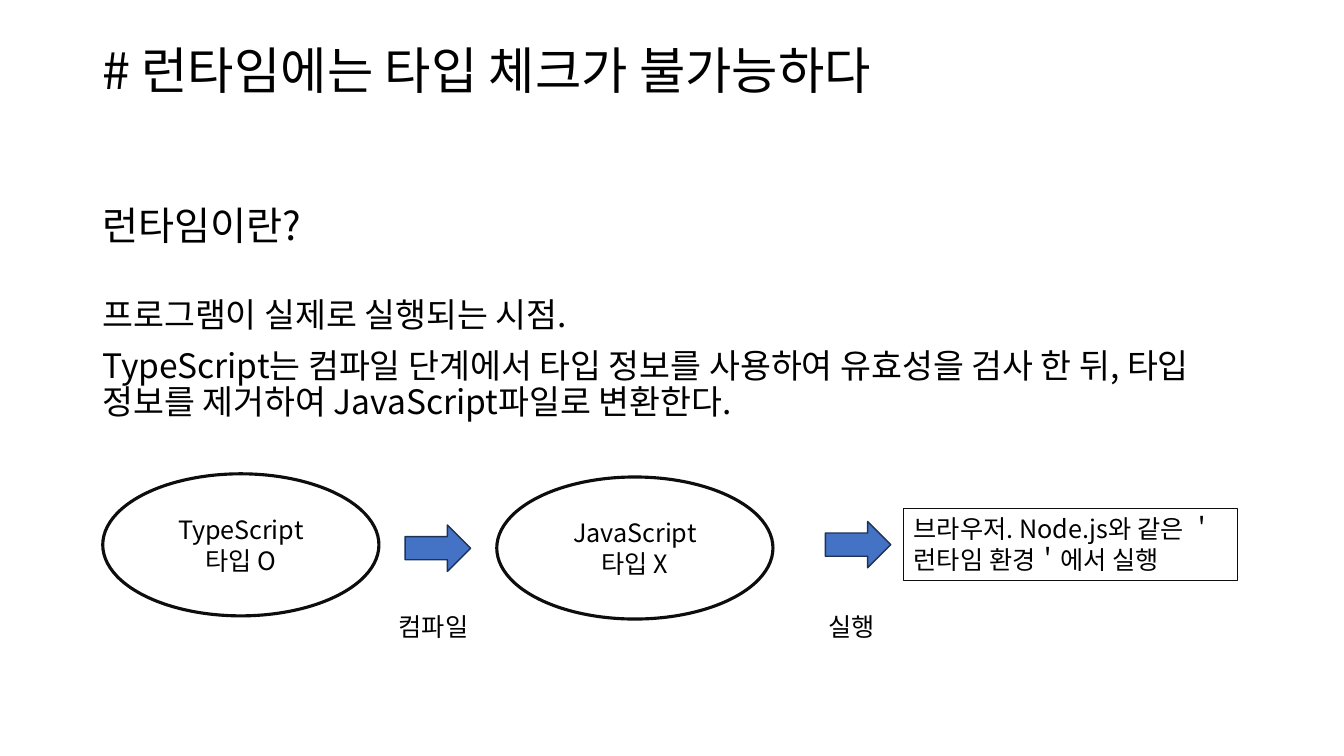
from dataclasses import dataclass

from lxml import etree
from pptx import Presentation
from pptx import util as u
from pptx.dml.color import RGBColor
from pptx.enum import shapes, text
from pptx.oxml import ns

FONT = "Noto Sans CJK KR"
BLACK = RGBColor(0x00, 0x00, 0x00)
WHITE = RGBColor(0xFF, 0xFF, 0xFF)
OUTLINE = RGBColor(0x0D, 0x0D, 0x0D)
ARROW_FILL = RGBColor(0x44, 0x72, 0xC4)
ARROW_LINE = RGBColor(0x1E, 0x32, 0x56)


@dataclass(frozen=True)
class Line:
    words: str
    size: float = 18
    before: float = 0
    spacing: float = 1.0


@dataclass(frozen=True)
class Box:
    left: float
    top: float
    width: float
    height: float

    def lengths(self) -> tuple[u.Length, ...]:
        return tuple(u.Cm(n) for n in (self.left, self.top, self.width, self.height))


@dataclass(frozen=True)
class Figure:
    kind: shapes.MSO_SHAPE
    box: Box
    fill: RGBColor | None
    line: RGBColor
    line_width: float
    words: str = ""
    align: text.PP_ALIGN = text.PP_ALIGN.LEFT
    anchor: text.MSO_ANCHOR = text.MSO_ANCHOR.MIDDLE


def write(frame, lines: list[Line], align=text.PP_ALIGN.LEFT,
          anchor=text.MSO_ANCHOR.TOP) -> None:
    frame.word_wrap = True
    frame.vertical_anchor = anchor
    for index, line in enumerate(lines):
        paragraph = frame.add_paragraph() if index else frame.paragraphs[0]
        paragraph.text = line.words
        paragraph.alignment = align
        paragraph.line_spacing = line.spacing
        paragraph.space_before = u.Pt(line.before)
        font = paragraph.font
        font.name = FONT
        font.size = u.Pt(line.size)
        font.color.rgb = BLACK
        # Hangul takes its typeface from a:ea
        defaults = paragraph._p.pPr.find(ns.qn("a:defRPr"))
        etree.SubElement(defaults, ns.qn("a:ea"), typeface=FONT)


def add_text(slide, box: Box, lines: list[Line], anchor=text.MSO_ANCHOR.TOP) -> None:
    write(slide.shapes.add_textbox(*box.lengths()).text_frame, lines, anchor=anchor)


def add_figure(slide, figure: Figure) -> None:
    shape = slide.shapes.add_shape(figure.kind, *figure.box.lengths())
    shape.shadow.inherit = False
    if figure.fill is None:
        shape.fill.background()
    else:
        shape.fill.solid()
        shape.fill.fore_color.rgb = figure.fill
    shape.line.color.rgb = figure.line
    shape.line.width = u.Pt(figure.line_width)
    if figure.words:
        write(shape.text_frame, [Line(figure.words)], figure.align, figure.anchor)


def language(left: float, top: float, words: str) -> Figure:
    return Figure(shapes.MSO_SHAPE.OVAL, Box(left, top, 6.96, 3.58), WHITE, OUTLINE,
                  2.25, words, text.PP_ALIGN.CENTER)


def step_arrow(left: float, top: float) -> Figure:
    return Figure(shapes.MSO_SHAPE.RIGHT_ARROW, Box(left, top, 1.65, 1.17),
                  ARROW_FILL, ARROW_LINE, 1)


TITLE = [Line("# 런타임에는 타입 체크가 불가능하다", 36, spacing=0.9)]
EXPLANATION = [
    Line("런타임이란?", 28, 10, 0.9),
    Line("프로그램이 실제로 실행되는 시점.", 24, 36, 0.9),
    Line("TypeScript는 컴파일 단계에서 타입 정보를 사용하여 유효성을 검사 한 뒤, "
         "타입 정보를 제거하여 JavaScript파일로 변환한다.", 24, 10, 0.9),
]
FLOW = [
    language(2.59, 11.94, "TypeScript\v타입 O"),
    language(12.52, 12.02, "JavaScript\v타입 X"),
    step_arrow(10.21, 13.23),
    step_arrow(20.8, 13.14),
    Figure(shapes.MSO_SHAPE.RECTANGLE, Box(22.78, 12.82, 8.41, 1.8), None, OUTLINE, 0.75,
           "브라우저. Node.js와 같은 ＇런타임 환경＇에서 실행", anchor=text.MSO_ANCHOR.TOP),
]
STEP_LABELS = {"컴파일": Box(9.8, 15.27, 4.34, 1.02), "실행": Box(20.62, 15.27, 2.69, 1.02)}


def main() -> None:
    deck = Presentation()
    deck.slide_width, deck.slide_height = u.Cm(33.87), u.Cm(19.05)
    slide = deck.slides.add_slide(deck.slide_layouts[6])
    add_text(slide, Box(2.33, 0, 29.21, 3.68), TITLE, text.MSO_ANCHOR.MIDDLE)
    add_text(slide, Box(2.33, 5.07, 29.21, 12.09), EXPLANATION)
    for figure in FLOW:
        add_figure(slide, figure)
    for words, box in STEP_LABELS.items():
        add_text(slide, box, [Line(words)])
    deck.save("out.pptx")


if __name__ == "__main__":
    main()
